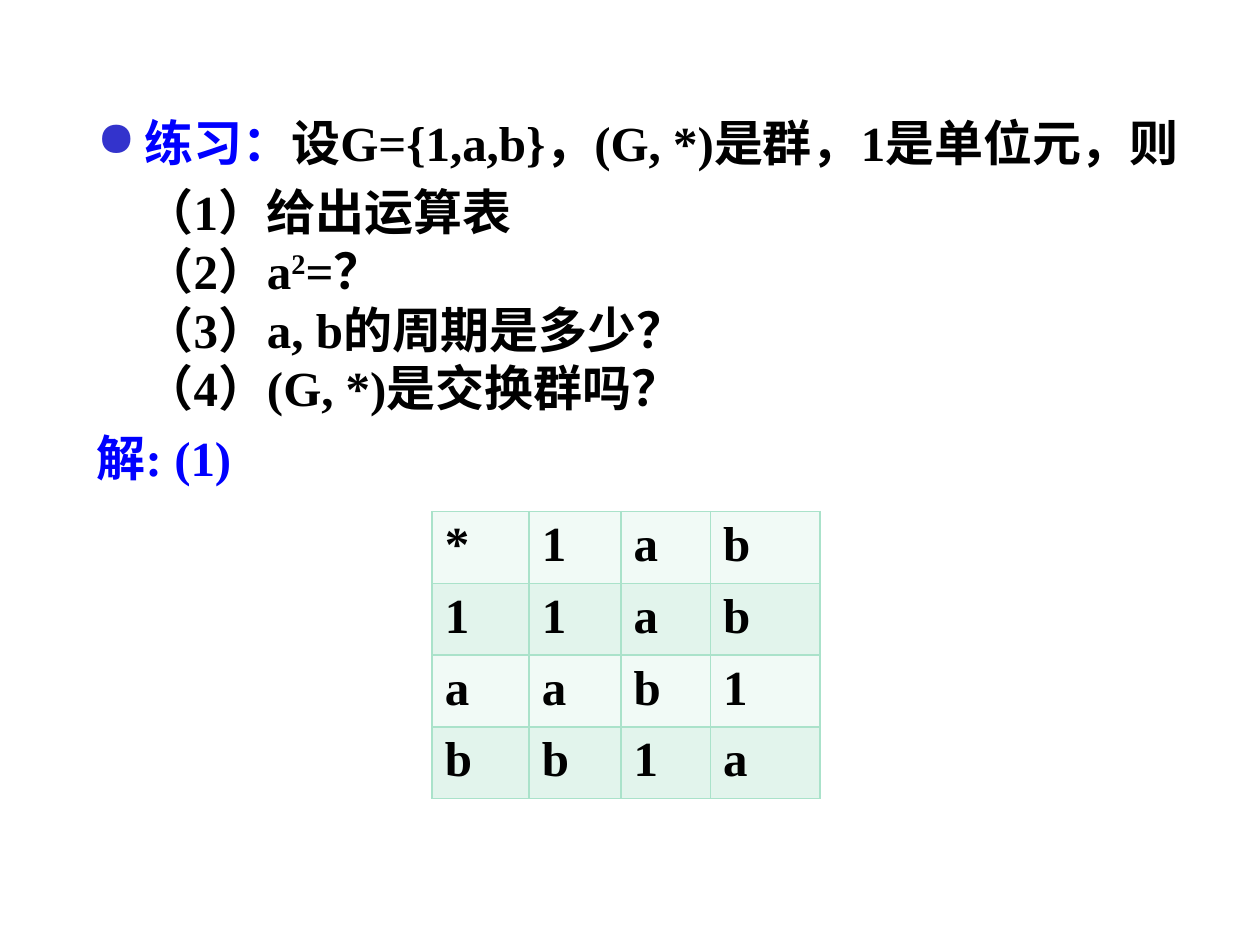
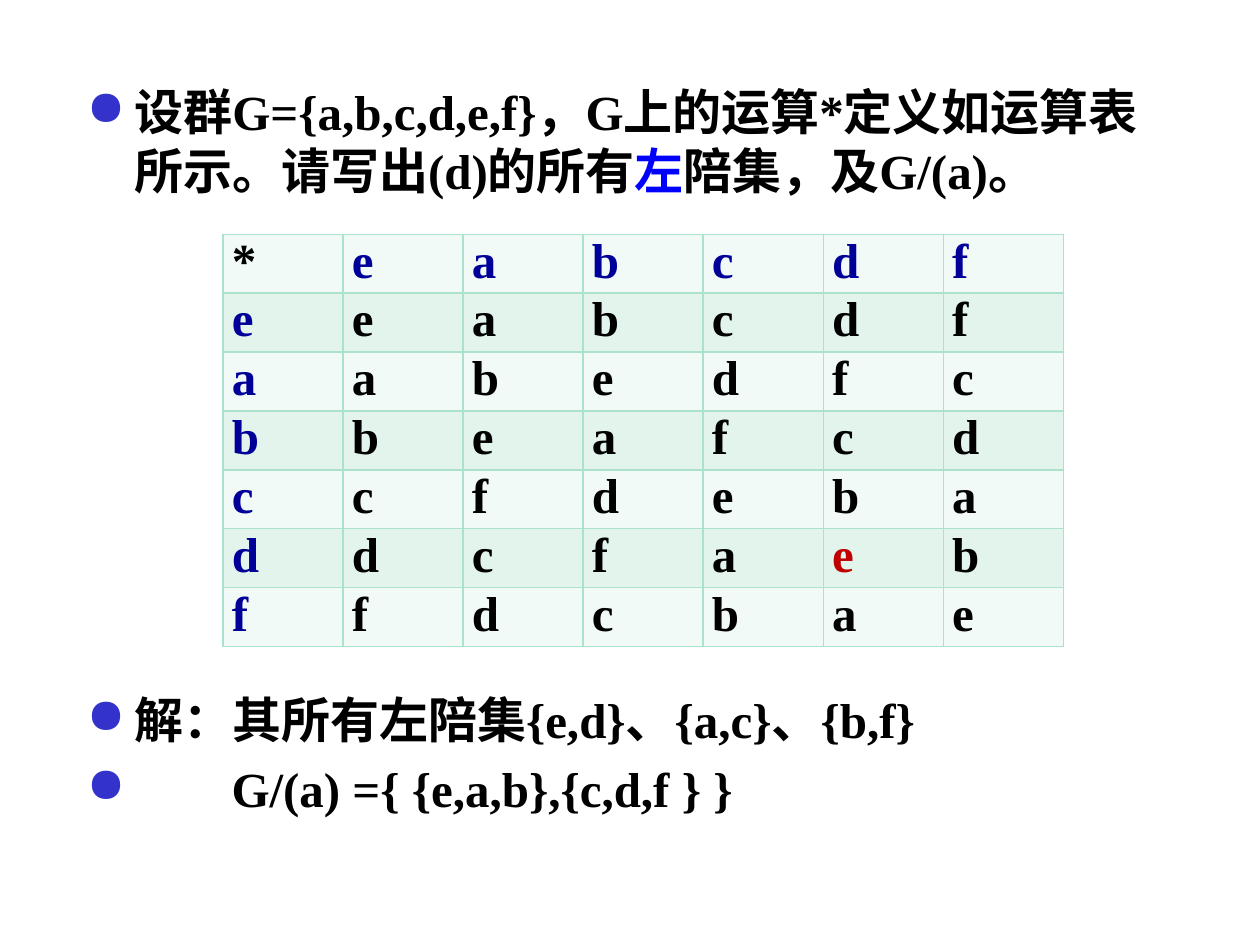
"""Build two slides of group theory exercises with their operation tables."""
from lxml.etree import SubElement
from pptx import Presentation
from pptx.dml.color import RGBColor
from pptx.enum.text import PP_ALIGN
from pptx.oxml import parse_xml
from pptx.oxml.ns import nsdecls, qn
from pptx.util import Inches, Pt

COLORS = {
    "text": "000000", "accent": "0000FF", "bullet": "3333CC",
    "header": "000099", "mark": "C00000", "border": "AAE2CA",
    "band_light": "F1FAF6", "band_dark": "E2F4EC",
}
FONT = "Times New Roman"
SIZE = 28
HANG = 0.38
GAP = 6

# Each paragraph is (runs, format); each run is (text, format).
EXERCISE = [
    ([("练习：", {"color": "accent"}),
      ("设G={1,a,b}，(G, *)是群，1是单位元，则", {})], {"bullet": True}),
    ([("（1）给出运算表", {})], {"indent": 0}),
    ([("（2）a", {}), ("2", {"raised": True}), ("=？", {})], {"indent": 0, "gap": 0}),
    ([("（3）a, b的周期是多少？", {})], {"indent": 0, "gap": 0}),
    ([("（4）(G, *)是交换群吗？", {})], {"indent": 0, "gap": 0}),
    ([("解: (1)", {"color": "accent"})], {}),
]
COSET_QUESTION = [
    ([("设群G={a,b,c,d,e,f}，G上的运算*定义如运算表所示。请写出(d)的所有", {}),
      ("左", {"color": "accent"}), ("陪集，及G/(a)。", {})], {"bullet": True}),
]
COSET_ANSWER = [
    ([("解：其所有左陪集{e,d}、{a,c}、{b,f}", {})], {"bullet": True}),
    ([("G/(a) ={ {e,a,b},{c,d,f } }", {})],
     {"bullet": True, "left": 1.15, "indent": -1.15}),
]
GROUP_OF_THREE = ["*1ab", "11ab", "aab1", "bb1a"]
GROUP_OF_SIX = ["*eabcdf", "eeabcdf", "aabedfc", "bbeafcd",
                "ccfdeba", "ddcfaeb", "ffdcbae"]
MARKED_CELL = (5, 5)


def rgb(name):
    return RGBColor.from_string(COLORS[name])


def add_run(p, text, color="text", raised=False):
    r = p.add_run()
    r.text = text
    r.font.name = FONT
    r.font.size = Pt(SIZE)
    r.font.bold = True
    r.font.color.rgb = rgb(color)
    if raised:
        r.font._element.set("baseline", "30000")


def format_paragraph(p, bullet=False, left=HANG, indent=-HANG):
    pPr = p._p.get_or_add_pPr()
    pPr.set("marL", str(Inches(left)))
    pPr.set("indent", str(Inches(indent)))
    if bullet:
        clr = SubElement(pPr, qn("a:buClr"))
        SubElement(clr, qn("a:srgbClr"), val=COLORS["bullet"])
        SubElement(pPr, qn("a:buChar"), char="●")
    else:
        SubElement(pPr, qn("a:buNone"))


def add_text(slide, paragraphs, left, top, width, height):
    sp = slide.shapes.add_textbox(*map(Inches, (left, top, width, height)))
    tf = sp.text_frame
    tf.word_wrap = True
    for i, (runs, fmt) in enumerate(paragraphs):
        fmt = dict(fmt)
        gap = fmt.pop("gap", GAP)
        p = tf.add_paragraph() if i else tf.paragraphs[0]
        format_paragraph(p, **fmt)
        if i:
            p.space_before = Pt(gap)
        for text, run_format in runs:
            add_run(p, text, **run_format)


def add_borders(cell):
    tcPr = cell._tc.get_or_add_tcPr()
    for i, side in enumerate(("lnL", "lnR", "lnT", "lnB")):
        tcPr.insert(i, parse_xml(
            f'<a:{side} {nsdecls("a")} w="{Pt(1)}"><a:solidFill>'
            f'<a:srgbClr val="{COLORS["border"]}"/></a:solidFill></a:{side}>'))


def add_operation_table(slide, rows, left, top, widths, row_height,
                        margins=(0.1, 0.05), align=None, color_of=None):
    box = (left, top, sum(widths), row_height * len(rows))
    table = slide.shapes.add_table(len(rows), len(widths), *map(Inches, box)).table
    table.first_row = table.horz_banding = False
    for column, width in zip(table.columns, widths):
        column.width = Inches(width)
    for i, row in enumerate(rows):
        table.rows[i].height = Inches(row_height)
        for j, text in enumerate(row):
            cell = table.cell(i, j)
            cell.margin_left = cell.margin_right = Inches(margins[0])
            cell.margin_top = cell.margin_bottom = Inches(margins[1])
            cell.fill.solid()
            cell.fill.fore_color.rgb = rgb("band_dark" if i % 2 else "band_light")
            add_borders(cell)
            p = cell.text_frame.paragraphs[0]
            p.alignment = align
            add_run(p, text, color=color_of(i, j) if color_of else "text")


def color_of_six(i, j):
    if (i, j) == MARKED_CELL:
        return "mark"
    return "header" if (i == 0) != (j == 0) else "text"


def main():
    prs = Presentation()
    prs.slide_width, prs.slide_height = Inches(10), Inches(7.5)
    blank = prs.slide_layouts[6]

    slide = prs.slides.add_slide(blank)
    add_text(slide, EXERCISE, 0.67, 0.84, 8.82, 5.78)
    add_operation_table(slide, GROUP_OF_THREE, 3.43, 4.06,
                        [0.77, 0.73, 0.71, 0.87], 0.57)

    slide = prs.slides.add_slide(blank)
    add_text(slide, COSET_QUESTION, 0.59, 0.6, 8.87, 1.1)
    add_operation_table(slide, GROUP_OF_SIX, 1.77, 1.86, [6.67 / 7] * 7, 3.27 / 7,
                        margins=(0.07, 0), align=PP_ALIGN.JUSTIFY,
                        color_of=color_of_six)
    add_text(slide, COSET_ANSWER, 0.59, 5.42, 8.87, 1.4)

    prs.save("out.pptx")


if __name__ == "__main__":
    main()
